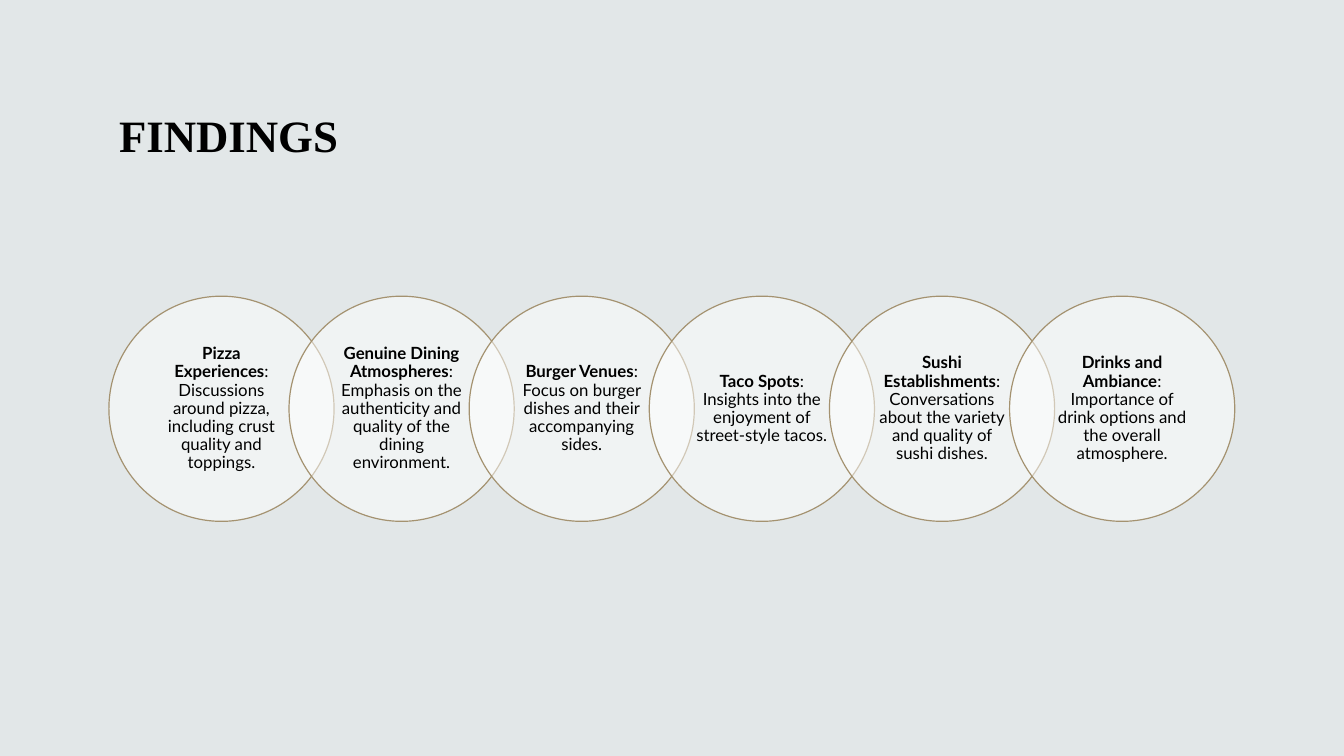
from lxml import etree
from pptx import Presentation
from pptx.dml.color import RGBColor
from pptx.enum import shapes, text
from pptx.oxml import ns
from pptx.util import Pt

TITLE = "FINDINGS"
FINDINGS = [
    ("Pizza Experiences", ": Discussions around pizza, including crust quality and toppings."),
    ("Genuine Dining Atmospheres", ": Emphasis on the authenticity and quality of the dining environment."),
    ("Burger Venues", ": Focus on burger dishes and their accompanying sides."),
    ("Taco Spots", ": Insights into the enjoyment of street-style tacos."),
    ("Sushi Establishments", ": Conversations about the variety and quality of sushi dishes."),
    ("Drinks and Ambiance", ": Importance of drink options and the overall atmosphere."),
]

BACKGROUND = RGBColor(0xE2, 0xE7, 0xE8)
WHITE = RGBColor(0xFF, 0xFF, 0xFF)
BRONZE = RGBColor(0xA4, 0x92, 0x70)
BLACK = RGBColor(0, 0, 0)

LEFT, WIDTH = 77.8, 804.2
CENTER_Y = 292
OVERLAP = 0.2
DIAMETER = WIDTH / (len(FINDINGS) - (len(FINDINGS) - 1) * OVERLAP)
PITCH = DIAMETER * (1 - OVERLAP)


def add_title(slide):
    title = slide.shapes.title
    title.left, title.top, title.width, title.height = Pt(LEFT), Pt(31), Pt(WIDTH), Pt(88)
    frame = title.text_frame
    frame.text = TITLE
    frame.auto_size = text.MSO_AUTO_SIZE.NONE
    frame.vertical_anchor = text.MSO_ANCHOR.BOTTOM
    paragraph = frame.paragraphs[0]
    paragraph.alignment = text.PP_ALIGN.LEFT
    font = paragraph.font
    font.name, font.size, font.bold = "Times New Roman", Pt(32), True
    font.color.rgb = BLACK


def add_circle(slide, index, heading, detail):
    circle = slide.shapes.add_shape(
        shapes.MSO_SHAPE.OVAL,
        Pt(LEFT + index * PITCH), Pt(CENTER_Y - DIAMETER / 2), Pt(DIAMETER), Pt(DIAMETER))
    circle.shadow.inherit = False
    circle.fill.solid()
    circle.fill.fore_color.rgb = WHITE
    color = circle.fill._xPr.find(ns.qn("a:solidFill"))[0]
    etree.SubElement(color, ns.qn("a:alpha")).set("val", "50000")
    circle.line.color.rgb = BRONZE
    circle.line.width = Pt(0.85)

    frame = circle.text_frame
    frame.word_wrap = True
    frame.vertical_anchor = text.MSO_ANCHOR.MIDDLE
    frame.margin_left = frame.margin_right = Pt(8.8)
    frame.margin_top = frame.margin_bottom = Pt(1.2)
    paragraph = frame.paragraphs[0]
    paragraph.alignment = text.PP_ALIGN.CENTER
    paragraph.line_spacing = 0.9
    paragraph.font.name = "Lato"
    paragraph.font.size = Pt(12)
    paragraph.font.color.rgb = BLACK
    for words, bold in ((heading, True), (detail, False)):
        run = paragraph.add_run()
        run.text = words
        run.font.bold = bold


def main():
    presentation = Presentation()
    presentation.slide_width, presentation.slide_height = Pt(960), Pt(540)
    slide = presentation.slides.add_slide(presentation.slide_layouts[5])
    slide.background.fill.solid()
    slide.background.fill.fore_color.rgb = BACKGROUND
    add_title(slide)
    for index, (heading, detail) in enumerate(FINDINGS):
        add_circle(slide, index, heading, detail)
    presentation.save("out.pptx")


if __name__ == "__main__":
    main()
